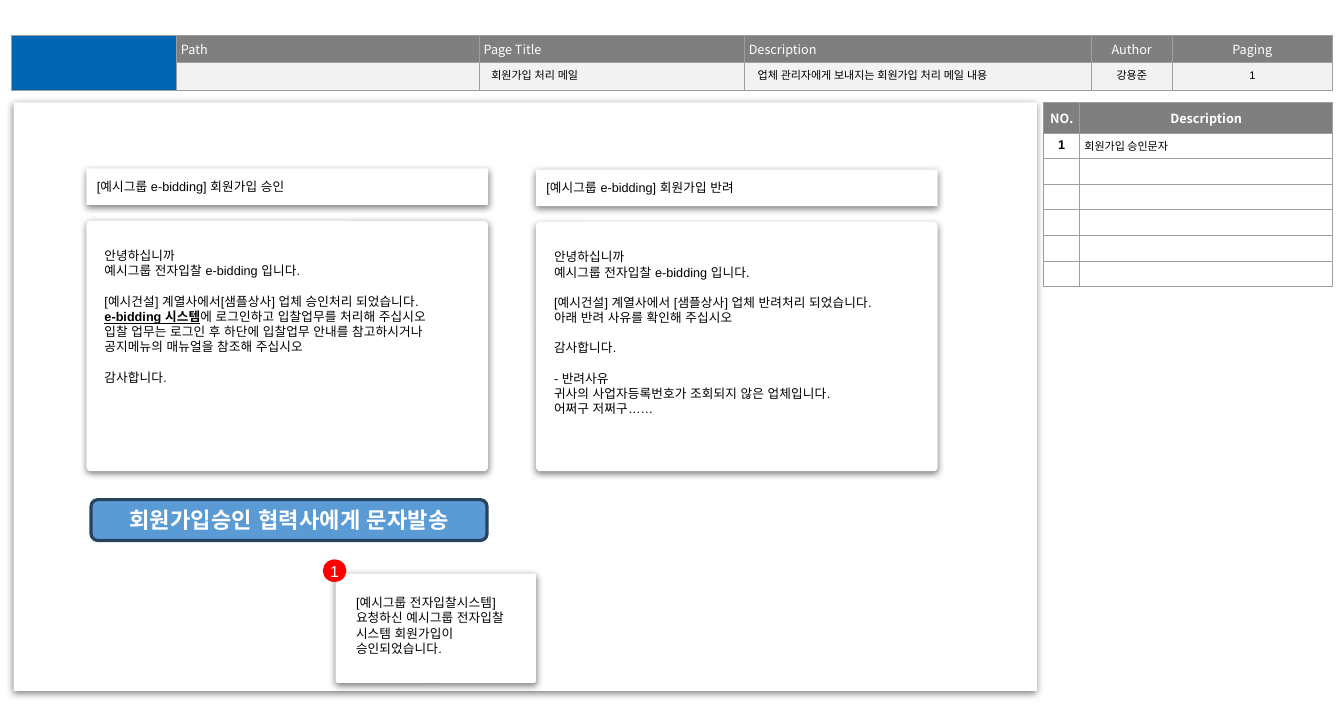
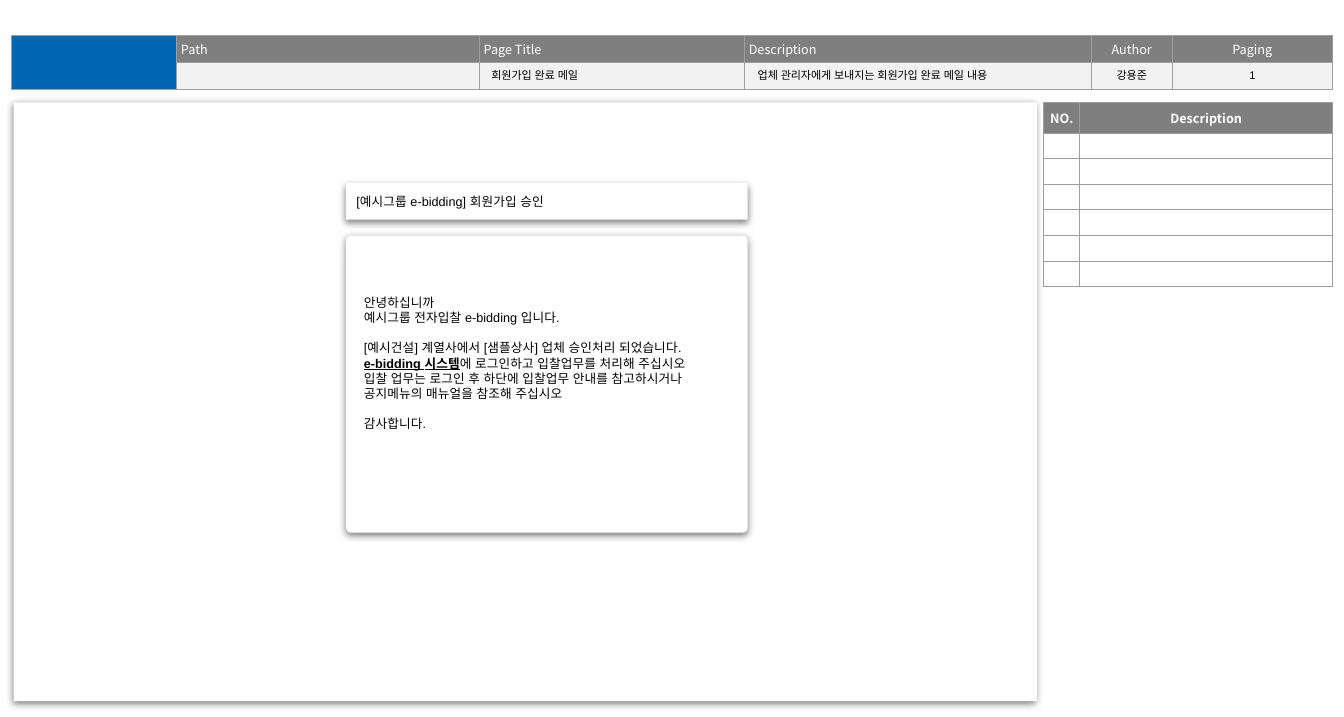
from lxml import etree
from pptx import Presentation
from pptx.dml.color import RGBColor
from pptx.enum.shapes import MSO_SHAPE
from pptx.enum.text import MSO_ANCHOR, MSO_AUTO_SIZE, PP_ALIGN
from pptx.oxml.ns import qn
from pptx.util import Emu, Pt

LEFT, CENTER = PP_ALIGN.LEFT, PP_ALIGN.CENTER
TOP, MIDDLE = MSO_ANCHOR.TOP, MSO_ANCHOR.MIDDLE
FIT = MSO_AUTO_SIZE.SHAPE_TO_FIT_TEXT
RECTANGLE, ROUNDED, OVAL = MSO_SHAPE.RECTANGLE, MSO_SHAPE.ROUNDED_RECTANGLE, MSO_SHAPE.OVAL

EMU_PER_PX = 9144
COLORS = {
    "white": "FFFFFF", "black": "000000", "brand": "0065B3", "head": "7F7F7F",
    "value": "F2F2F2", "grid": "9E9E9E", "button": "5B9BD5", "edge": "28445D",
    "marker": "FF0000",
}
SANS, KOREAN = "Arial", "Noto Sans CJK KR"
LINE_PITCH = 9.6
CARD_CORNER = 0.017
HEADER_COLUMNS = (145, 266, 233, 305, 71, 45, 44, 52)
HEADER_LABELS = (("Path", LEFT), ("Page Title", LEFT), ("Description", LEFT),
                 ("Author", CENTER), ("Paging", CENTER))

GREETING = ["안녕하십니까", "예시그룹 전자입찰 e-bidding 입니다."]
THANKS = ["감사합니다."]
APPROVAL_GUIDE = [
    ("e-bidding 시스템", "에 로그인하고 입찰업무를 처리해 주십시오"),
    "입찰 업무는 로그인 후 하단에 입찰업무 안내를 참고하시거나 공지메뉴의 매뉴얼을 참조해 주십시오",
]
APPROVAL_SUBJECT = "[예시그룹 e-bidding] 회원가입 승인"


def px(length):
    """Turn px into EMU."""
    return Emu(length * EMU_PER_PX)


def color(name):
    """Look up a named colour."""
    return RGBColor.from_string(COLORS[name])


def set_font(paragraph, size, name=SANS, ink="black", bold=False, align=LEFT):
    """Set alignment and font of a whole paragraph."""
    paragraph.alignment = align
    font = paragraph.font
    font.size, font.name, font.bold = Pt(size), name, bold
    font.color.rgb = color(ink)
    etree.SubElement(font._element.find(".//" + qn("a:defRPr"))
                     if font._element.tag != qn("a:defRPr") else font._element,
                     qn("a:ea"), typeface=name) if hasattr(font, "_element") else \
        etree.SubElement(paragraph._p.pPr.find(qn("a:defRPr")), qn("a:ea"), typeface=name)


def write_groups(frame, groups, size, pitch=None, **style):
    """Write groups of paragraphs, one line apart; a tuple opens with a link-like run."""
    lines = [(line, index > 0 and position == 0)
             for index, group in enumerate(groups) for position, line in enumerate(group)]
    for number, (line, starts_group) in enumerate(lines):
        paragraph = frame.add_paragraph() if number else frame.paragraphs[0]
        if isinstance(line, tuple):
            for text in line:
                run = paragraph.add_run()
                run.text = text
            paragraph.runs[0].font.bold = paragraph.runs[0].font.underline = True
        else:
            paragraph.text = line
        if pitch:
            paragraph.line_spacing = Pt(pitch)
        if starts_group:
            paragraph.space_before = Pt(LINE_PITCH)
        set_font(paragraph, size, **style)


def set_frame(frame, anchor=TOP, margin=None, wrap=True):
    """Set anchor, wrapping and equal margins of a text frame."""
    frame.word_wrap, frame.vertical_anchor = wrap, anchor
    if margin is not None:
        frame.margin_left = frame.margin_right = px(margin)
        frame.margin_top = frame.margin_bottom = px(margin)


def add_box(slide, kind, box, fill="white", edge=None, corner=None, raised=False):
    """Add a filled shape, with an optional edge, corner and soft shadow."""
    shape = slide.shapes.add_shape(kind, *map(px, box))
    shape.shadow.inherit = False
    shape.fill.solid()
    shape.fill.fore_color.rgb = color(fill)
    if edge:
        shape.line.color.rgb = color(edge)
        shape.line.width = Pt(2)
    else:
        shape.line.fill.background()
    if corner is not None:
        shape.adjustments[0] = corner
    if raised:
        effects = shape._element.spPr.find(qn("a:effectLst"))
        shadow = etree.SubElement(effects, qn("a:outerShdw"), blurRad=str(Pt(4.5)),
                                  dist=str(Pt(1.5)), dir="5400000", algn="t",
                                  rotWithShape="0")
        ink = etree.SubElement(shadow, qn("a:srgbClr"), val=COLORS["black"])
        etree.SubElement(ink, qn("a:alpha"), val="50000")
    return shape


def add_card(slide, box, corner=CARD_CORNER):
    """Add a white raised card."""
    return add_box(slide, ROUNDED, box, corner=corner, raised=True)


def add_message(slide, box, groups):
    """Add a white block of message text."""
    frame = add_box(slide, RECTANGLE, box).text_frame
    set_frame(frame)
    frame.auto_size = FIT
    write_groups(frame, groups, 8, pitch=LINE_PITCH)


def add_grid(slide, left, top, columns, rows):
    """Add an unstyled table with the given column widths and row heights."""
    table = slide.shapes.add_table(len(rows), len(columns), px(left), px(top),
                                   px(sum(columns)), px(sum(rows))).table
    table.first_row = table.horz_banding = False
    for column, width in zip(table.columns, columns):
        column.width = px(width)
    for row, height in zip(table.rows, rows):
        row.height = px(height)
    return table


def fill_cell(cell, text="", fill=None, sides="LRTB", anchor=MIDDLE, size=7, **style):
    """Set borders, fill and text of a table cell."""
    properties = cell._tc.get_or_add_tcPr()
    for side in "LRTB":
        line = etree.SubElement(properties, qn("a:ln" + side), w=str(Pt(0.75)))
        if side in sides:
            solid = etree.SubElement(line, qn("a:solidFill"))
            etree.SubElement(solid, qn("a:srgbClr"), val=COLORS["grid"])
        else:
            etree.SubElement(line, qn("a:noFill"))
    if fill:
        cell.fill.solid()
        cell.fill.fore_color.rgb = color(fill)
    else:
        cell.fill.background()
    cell.vertical_anchor = anchor
    cell.margin_left = cell.margin_right = cell.margin_top = cell.margin_bottom = px(4)
    paragraph = cell.text_frame.paragraphs[0]
    if text:
        paragraph.text = text
        set_font(paragraph, size, **style)
    else:
        etree.SubElement(paragraph._p, qn("a:endParaRPr"), sz="700")


def add_header(slide, left, top, title, description):
    """Add the band of page facts across the top."""
    table = add_grid(slide, left, top, HEADER_COLUMNS, (24, 24))
    table.cell(0, 0).merge(table.cell(1, 0))
    table.cell(0, 5).merge(table.cell(0, 7))
    inner_sides = {5: "LTB", 6: "TB", 7: "RTB"}
    for index in range(len(HEADER_COLUMNS)):
        label, align = HEADER_LABELS[index - 1] if 1 <= index <= 5 else ("", LEFT)
        fill_cell(table.cell(0, index), label, "head" if index else "brand",
                  size=8, name=KOREAN, ink="white", align=align)
        fill_cell(table.cell(1, index), fill="value" if index else "brand",
                  sides=inner_sides.get(index, "LRTB"))
    values = ((412, 225, title, LEFT), (646, 302, description, LEFT),
              (952, 65, "강용준", CENTER), (1027, 127, "1", CENTER))
    for offset, width, text, align in values:
        frame = slide.shapes.add_textbox(px(left + offset), px(top + 24),
                                         px(width), px(22)).text_frame
        set_frame(frame)
        frame.auto_size = FIT
        write_groups(frame, [[text]], 7, align=align)


def add_notes_table(slide, left, top, notes):
    """Add the numbered list of remarks at the right."""
    table = add_grid(slide, left, top, (32, 222), (27,) + (22.5,) * 6)
    for index, label in enumerate(("NO.", "Description")):
        fill_cell(table.cell(0, index), label, "head", size=8, name=KOREAN,
                  ink="white", bold=True, align=CENTER)
    for row in range(1, 7):
        note = notes[row - 1] if row <= len(notes) else ""
        fill_cell(table.cell(row, 0), str(row) if note else "", anchor=TOP,
                  size=8, bold=True, align=CENTER)
        fill_cell(table.cell(row, 1), note, anchor=TOP, name=KOREAN)


def add_mail(slide, box, subject, groups, text_top, text_height):
    """Add a mail: subject card above a body card with its text."""
    left, top, width, height = box
    add_card(slide, (left, top + 46, width, height - 46))
    frame = add_card(slide, (left, top, width, 32)).text_frame
    set_frame(frame, MIDDLE, 9)
    write_groups(frame, [[subject]], 8)
    add_message(slide, (left + 6, top + text_top, width - 10, text_height), groups)


def add_sms_button(slide, box):
    """Add the button that sends the text message."""
    button = add_box(slide, ROUNDED, box, "button", "edge")
    set_frame(button.text_frame, MIDDLE)
    write_groups(button.text_frame, [["회원가입승인 협력사에게 문자발송"]], 14,
                 ink="white", bold=True, align=CENTER)


def add_sms(slide, box, number, text):
    """Add a text message card with its number marker."""
    left, top, width, height = box
    add_card(slide, box)
    marker = add_box(slide, OVAL, (left - 10, top - 11, 18, 17), "marker", "marker")
    set_frame(marker.text_frame, MIDDLE, 0, wrap=False)
    write_groups(marker.text_frame, [[number]], 10, ink="white", align=CENTER)
    add_message(slide, (left + 8, top + 14, width - 15, 64), [[text]])


def add_page(presentation, title, description, panel_height, notes=()):
    """Add a slide with header, remarks and the empty screen panel."""
    slide = presentation.slides.add_slide(presentation.slide_layouts[6])
    add_header(slide, 10, 31, title, description)
    add_notes_table(slide, 917, 90, notes)
    add_card(slide, (12, 90, 899, panel_height), corner=0)
    return slide


def build_processing_page(presentation):
    """Build the page of approval and rejection mails."""
    slide = add_page(presentation, "회원가입 처리 메일",
                     "업체 관리자에게 보내지는 회원가입 처리 메일 내용", 517,
                     ["회원가입 승인문자"])
    approval = ["[예시건설] 계열사에서[샘플상사] 업체 승인처리 되었습니다."] + APPROVAL_GUIDE
    rejection = ["[예시건설] 계열사에서 [샘플상사] 업체 반려처리 되었습니다.",
                 "아래 반려 사유를 확인해 주십시오"]
    reason = ["- 반려사유", "귀사의 사업자등록번호가 조회되지 않은 업체입니다.", "어쩌구 저쩌구……"]
    add_mail(slide, (76, 148, 353, 266), APPROVAL_SUBJECT,
             [GREETING, approval, THANKS], 65, 131)
    add_mail(slide, (471, 149, 353, 265), "[예시그룹 e-bidding] 회원가입 반려",
             [GREETING, rejection, THANKS, reason], 65, 172)
    add_sms_button(slide, (80, 439, 348, 36))
    add_sms(slide, (295, 504, 176, 96), "1",
            "[예시그룹 전자입찰시스템]\v요청하신 예시그룹 전자입찰 시스템 회원가입이 승인되었습니다.")


def build_completion_page(presentation):
    """Build the page of the completion mail."""
    slide = add_page(presentation, "회원가입 완료 메일",
                     "업체 관리자에게 보내지는 회원가입 완료 메일 내용", 526)
    approval = ["[예시건설] 계열사에서 [샘플상사] 업체 승인처리 되었습니다."] + APPROVAL_GUIDE
    add_mail(slide, (304, 161, 353, 307), APPROVAL_SUBJECT,
             [GREETING, approval, THANKS], 93, 131)


def main():
    """Build and save the presentation."""
    presentation = Presentation()
    presentation.slide_width, presentation.slide_height = px(1181), px(630)
    build_processing_page(presentation)
    build_completion_page(presentation)
    presentation.save("out.pptx")


if __name__ == "__main__":
    main()
